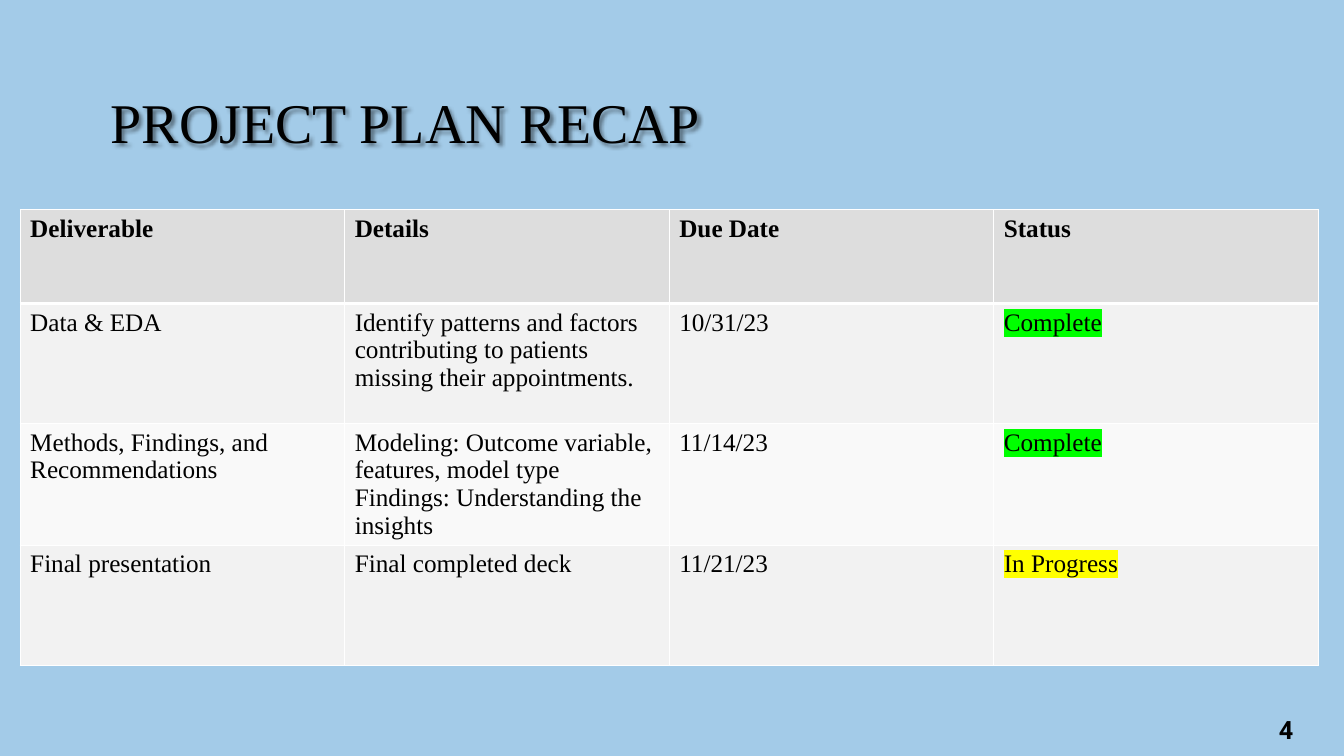
from dataclasses import dataclass

from lxml import etree
from pptx import Presentation
from pptx.dml.color import RGBColor
from pptx.enum.text import MSO_ANCHOR, MSO_AUTO_SIZE
from pptx.oxml.ns import qn
from pptx.util import Pt

MIDDLE = MSO_ANCHOR.MIDDLE
TOP = MSO_ANCHOR.TOP
NO_AUTOFIT = MSO_AUTO_SIZE.NONE
GROW = MSO_AUTO_SIZE.SHAPE_TO_FIT_TEXT


@dataclass(frozen=True)
class Theme:
    background: str = "A3CBE8"
    ink: str = "000000"
    rule: str = "FFFFFF"
    header: str = "DDDDDD"
    odd_row: str = "F2F2F2"
    even_row: str = "F9F9F9"
    serif: str = "Times New Roman"
    sans: str = "Roboto"
    title_size: float = 40
    body_size: float = 18
    rule_width: float = 1
    header_rule_width: float = 3


@dataclass(frozen=True)
class Label:
    text: str
    left: float
    top: float
    width: float
    height: float
    font: str
    size: float
    bold: bool
    anchor: MSO_ANCHOR
    autofit: MSO_AUTO_SIZE


@dataclass(frozen=True)
class Deliverable:
    name: str
    details: str
    due: str
    status: str


THEME = Theme()
TITLE = Label("PROJECT PLAN RECAP", 72, 48.24, 815, 76.3, THEME.serif,
              THEME.title_size, False, MIDDLE, NO_AUTOFIT)
PAGE_NUMBER = Label("4", 906.5, 506.9, 35.3, 29, THEME.sans,
                    THEME.body_size, True, TOP, GROW)
PLAN = [
    Deliverable("Deliverable", "Details", "Due Date", "Status"),
    Deliverable("Data & EDA",
                "Identify patterns and factors contributing to patients missing their appointments.",
                "10/31/23", "Complete"),
    Deliverable("Methods, Findings, and Recommendations",
                "Modeling: Outcome variable, features, model type\n"
                "Findings: Understanding the insights",
                "11/14/23", "Complete"),
    Deliverable("Final presentation", "Final completed deck", "11/21/23", "In Progress"),
]
STATUS_HIGHLIGHTS = {"Complete": "00FF00", "In Progress": "FFFF00"}
PLAN_LEFT, PLAN_TOP = 14.4, 149.8
COLUMN_WIDTH, HEADER_HEIGHT, ROW_HEIGHT = 231.84, 67, 85.7


def add_color(parent, color: str, alpha: int = 100) -> None:
    """Append an RGB colour with an opacity in percent."""
    rgb = etree.SubElement(parent, qn("a:srgbClr"), val=color)
    if alpha < 100:
        etree.SubElement(rgb, qn("a:alpha"), val=str(alpha * 1000))


def make_line(tag: str, color: str, width: float, alpha: int = 100):
    """Return a solid line element."""
    line = etree.Element(qn(tag), w=str(Pt(width)))
    add_color(etree.SubElement(line, qn("a:solidFill")), color, alpha)
    return line


def style_paragraph(paragraph, font: str, size: float, bold: bool) -> None:
    """Set the font of a whole paragraph."""
    paragraph.font.name = font
    paragraph.font.size = Pt(size)
    paragraph.font.bold = bold
    paragraph.font.color.rgb = RGBColor.from_string(THEME.ink)


def add_label(slide, label: Label):
    """Draw a text box and return it."""
    box = slide.shapes.add_textbox(Pt(label.left), Pt(label.top),
                                   Pt(label.width), Pt(label.height))
    frame = box.text_frame
    frame.word_wrap = True
    frame.auto_size = label.autofit
    frame.vertical_anchor = label.anchor
    frame.text = label.text
    style_paragraph(frame.paragraphs[0], label.font, label.size, label.bold)
    return box


def decorate_title(title) -> None:
    """Give the title a faint outline and a soft shadow."""
    run = title.text_frame.paragraphs[0].runs[0]
    run.font._element.insert(0, make_line("a:ln", THEME.rule, 0.75, 10))
    effects = etree.SubElement(title._element.spPr, qn("a:effectLst"))
    shadow = etree.SubElement(effects, qn("a:outerShdw"), blurRad=str(Pt(3)),
                              dist=str(Pt(2)), dir="2700000", algn="tl")
    add_color(shadow, THEME.ink, 43)


def draw_borders(cell, row: int) -> None:
    """Rule a cell, with a heavier line below the header."""
    widths = {
        "a:lnL": THEME.rule_width,
        "a:lnR": THEME.rule_width,
        "a:lnT": THEME.header_rule_width if row == 1 else THEME.rule_width,
        "a:lnB": THEME.header_rule_width if row == 0 else THEME.rule_width,
    }
    properties = cell._tc.get_or_add_tcPr()
    for position, (tag, width) in enumerate(widths.items()):
        properties.insert(position, make_line(tag, THEME.rule, width))


def fill_cell(cell, text: str, row: int) -> None:
    """Write and style one cell of the plan."""
    cell.text = text
    fill = THEME.header if row == 0 else THEME.odd_row if row % 2 else THEME.even_row
    cell.fill.solid()
    cell.fill.fore_color.rgb = RGBColor.from_string(fill)
    draw_borders(cell, row)
    for paragraph in cell.text_frame.paragraphs:
        style_paragraph(paragraph, THEME.serif, THEME.body_size, row == 0)
        if text in STATUS_HIGHLIGHTS:
            highlight = etree.SubElement(paragraph.runs[0].font._element, qn("a:highlight"))
            add_color(highlight, STATUS_HIGHLIGHTS[text])


def add_plan(slide, plan: list[Deliverable]) -> None:
    """Draw the table of deliverables."""
    height = HEADER_HEIGHT + ROW_HEIGHT * (len(plan) - 1)
    table = slide.shapes.add_table(len(plan), 4, Pt(PLAN_LEFT), Pt(PLAN_TOP),
                                   Pt(4 * COLUMN_WIDTH), Pt(height)).table
    table.first_row = True
    table.horz_banding = False
    for column in table.columns:
        column.width = Pt(COLUMN_WIDTH)
    for row, item in enumerate(plan):
        table.rows[row].height = Pt(ROW_HEIGHT if row else HEADER_HEIGHT)
        for column, text in enumerate((item.name, item.details, item.due, item.status)):
            fill_cell(table.cell(row, column), text, row)


def main() -> None:
    """Build and save the slide."""
    deck = Presentation()
    deck.slide_width, deck.slide_height = Pt(960), Pt(540)
    slide = deck.slides.add_slide(deck.slide_layouts[6])
    slide.background.fill.solid()
    slide.background.fill.fore_color.rgb = RGBColor.from_string(THEME.background)
    decorate_title(add_label(slide, TITLE))
    add_plan(slide, PLAN)
    add_label(slide, PAGE_NUMBER)
    deck.save("out.pptx")


if __name__ == "__main__":
    main()
